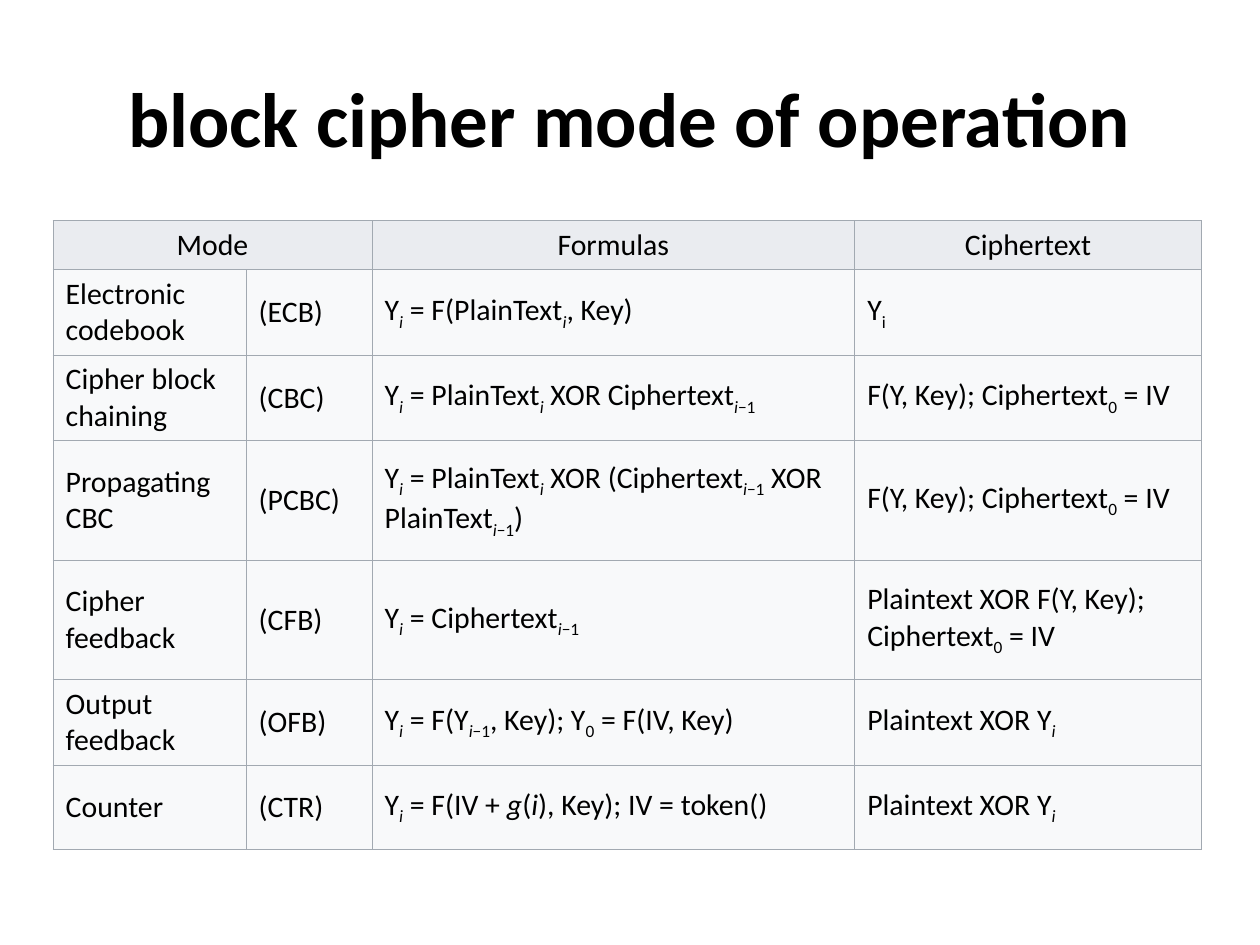
import pptx
import pptx.dml.color
import pptx.enum.text
import pptx.oxml.ns
import pptx.util
from lxml import etree

Cm = pptx.util.Cm
Pt = pptx.util.Pt
RGBColor = pptx.dml.color.RGBColor
Align = pptx.enum.text.PP_ALIGN
Anchor = pptx.enum.text.MSO_ANCHOR

BLACK = RGBColor(0x00, 0x00, 0x00)
BORDER_GREY = RGBColor(0xA2, 0xA9, 0xB1)
HEADER_GREY = RGBColor(0xEA, 0xEC, 0xF0)
BODY_GREY = RGBColor(0xF8, 0xF9, 0xFA)

COLUMN_WIDTHS = [3.89, 2.54, 9.73, 6.99]
ROW_HEIGHTS = [0.97, 1.7, 1.7, 2.41, 2.41, 1.7, 1.7]

# Underscores enclose a subscript, asterisks enclose italics.
MODES = [
    ["Mode", "", "Formulas", "Ciphertext"],
    ["Electronic codebook", "(ECB)",
     "Y_*i*_ = F(PlainText_*i*_, Key)", "Y_i_"],
    ["Cipher block chaining", "(CBC)",
     "Y_*i*_ = PlainText_*i*_ XOR Ciphertext_*i*−1_",
     "F(Y, Key); Ciphertext_0_ = IV"],
    ["Propagating CBC", "(PCBC)",
     "Y_*i*_ = PlainText_*i*_ XOR (Ciphertext_*i*−1_ XOR PlainText_*i*−1_)",
     "F(Y, Key); Ciphertext_0_ = IV"],
    ["Cipher feedback", "(CFB)",
     "Y_*i*_ = Ciphertext_*i*−1_",
     "Plaintext XOR F(Y, Key); Ciphertext_0_ = IV"],
    ["Output feedback", "(OFB)",
     "Y_*i*_ = F(Y_*i*−1_, Key); Y_0_ = F(IV, Key)",
     "Plaintext XOR Y_*i*_"],
    ["Counter", "(CTR)",
     "Y_*i*_ = F(IV + *g*(*i*), Key); IV = token()",
     "Plaintext XOR Y_*i*_"],
]


class SlideBuilder:
    """Holds the text style and the slide being filled."""

    font_name = "Calibri"
    title_size = Pt(44)
    table_size = Pt(17)

    def __init__(self, page):
        self.page = page

    def style(self, para, size, align, bold=False):
        para.alignment = align
        para.font.name = self.font_name
        para.font.size = size
        para.font.bold = bold
        para.font.color.rgb = BLACK

    def title(self, text, left, top, width, height):
        box = self.page.shapes.title
        box.left, box.top, box.width, box.height = left, top, width, height
        box.text_frame.text = text
        box.text_frame.vertical_anchor = Anchor.MIDDLE
        self.style(box.text_frame.paragraphs[0], self.title_size, Align.CENTER, bold=True)

    def formula(self, para, markup):
        """Add runs, reading _..._ as subscript and *...* as italics."""
        for level, part in enumerate(markup.split("_")):
            for slant, text in enumerate(part.split("*")):
                if not text:
                    continue
                span = para.add_run()
                span.text = text
                if slant % 2:
                    span.font.italic = True
                if level % 2:
                    span.font._element.set("baseline", "-25000")

    def borders(self, cell):
        properties = cell._tc.get_or_add_tcPr()
        qn = pptx.oxml.ns.qn
        for side in ("a:lnL", "a:lnR", "a:lnT", "a:lnB"):
            line = etree.SubElement(properties, qn(side), w=str(Pt(0.6)))
            fill = etree.SubElement(line, qn("a:solidFill"))
            etree.SubElement(fill, qn("a:srgbClr"), val=str(BORDER_GREY))

    def cell(self, cell, markup, fill, align):
        self.borders(cell)
        cell.fill.solid()
        cell.fill.fore_color.rgb = fill
        cell.vertical_anchor = Anchor.MIDDLE
        para = cell.text_frame.paragraphs[0]
        self.style(para, self.table_size, align)
        self.formula(para, markup)

    def table(self, rows, left, top, widths, heights):
        table = self.page.shapes.add_table(
            len(rows), len(widths), left, top, Cm(sum(widths)), Cm(sum(heights))).table
        for column, width in zip(table.columns, widths):
            column.width = Cm(width)
        for row, height in zip(table.rows, heights):
            row.height = Cm(height)
        for r, row in enumerate(rows):
            fill, align = (BODY_GREY, Align.LEFT) if r else (HEADER_GREY, Align.CENTER)
            for c, markup in enumerate(row):
                self.cell(table.cell(r, c), markup, fill, align)
        table.cell(0, 0).merge(table.cell(0, 1))


def main():
    deck = pptx.Presentation()
    deck.slide_width, deck.slide_height = Cm(25.4), Cm(19.05)
    title_only = deck.slide_layouts[5]
    builder = SlideBuilder(deck.slides.add_slide(title_only))
    builder.title("block cipher mode of operation", Cm(1.27), Cm(0.76), Cm(22.86), Cm(3.18))
    builder.table(MODES, Cm(1.07), Cm(4.45), COLUMN_WIDTHS, ROW_HEIGHTS)
    deck.save("out.pptx")


if __name__ == "__main__":
    main()
